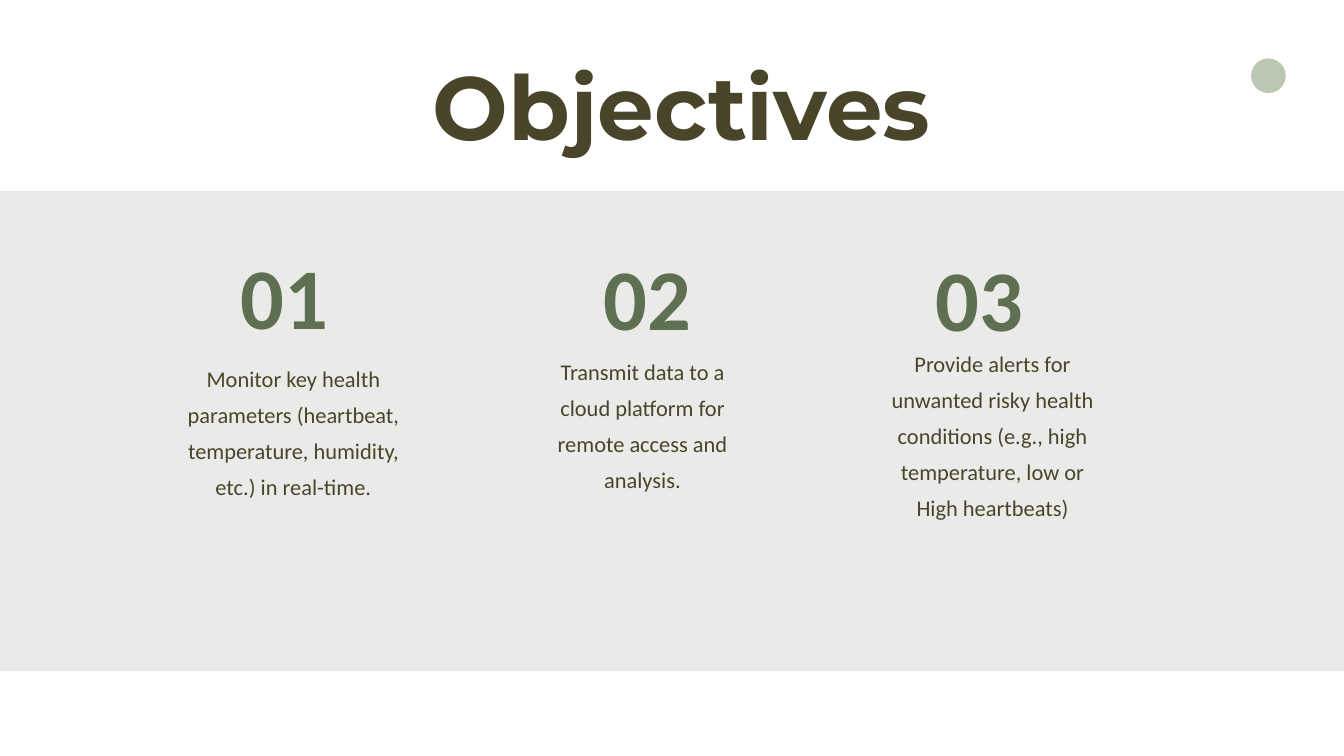
from pptx import Presentation
from pptx import util as u
from pptx.dml.color import RGBColor
from pptx.enum import shapes, text

HUES = {"band": "EAEBE9", "dot": "BBC8B1", "dark": "4A452A", "green": "5F6F52"}

deck = Presentation()
deck.slide_width, deck.slide_height = u.Cm(50.8), u.Cm(28.58)
slide = deck.slides.add_slide(deck.slide_layouts[6])


def add_block(kind, box, hue):
    block = slide.shapes.add_shape(kind, *map(u.Cm, box))
    block.shadow.inherit = False
    block.fill.solid()
    block.fill.fore_color.rgb = RGBColor.from_string(HUES[hue])
    block.line.fill.background()


def add_label(words, box, size, lead, hue, bold=False, face="Calibri"):
    frame = slide.shapes.add_textbox(*map(u.Cm, box)).text_frame
    frame.word_wrap = True
    frame.margin_left = frame.margin_right = 0
    frame.margin_top = frame.margin_bottom = 0
    para = frame.paragraphs[0]
    para.text = words
    para.alignment = text.PP_ALIGN.CENTER
    para.line_spacing = u.Pt(lead)
    para.font.name, para.font.size, para.font.bold = face, u.Pt(size), bold
    para.font.color.rgb = RGBColor.from_string(HUES[hue])


# Band, title and corner dot
add_block(shapes.MSO_SHAPE.RECTANGLE, (0, 7.22, 50.8, 18.14), "band")
add_label("Objectives", (8.2, 1.37, 35.13, 8.99), 96, 130.5, "dark", True, "Montserrat")
add_block(shapes.MSO_SHAPE.OVAL, (47.29, 2.21, 1.31, 1.31), "dot")

# Goals: number's left and top, goal, goal's box
goals = [
    (7.82, 8.53, "Monitor key health parameters (heartbeat, temperature, humidity, etc.) in real-time.",
     (6.91, 13.46, 8.36, 6.78)),
    (21.54, 8.56, "Transmit data to a cloud platform for remote access and analysis.",
     (20.45, 13.21, 7.67, 6.78)),
    (34.09, 8.61, "Provide alerts for unwanted risky health conditions (e.g., high temperature, low or High heartbeats)",
     (33.68, 12.9, 7.67, 8.15)),
]
for rank, (left, top, goal, box) in enumerate(goals, 1):
    add_label(f"{rank:02}", (left, top, 5.84, 4.39), 92.6, 129.7, "green", True)
    add_label(goal, box, 24, 38.5, "dark")

deck.save("out.pptx")
